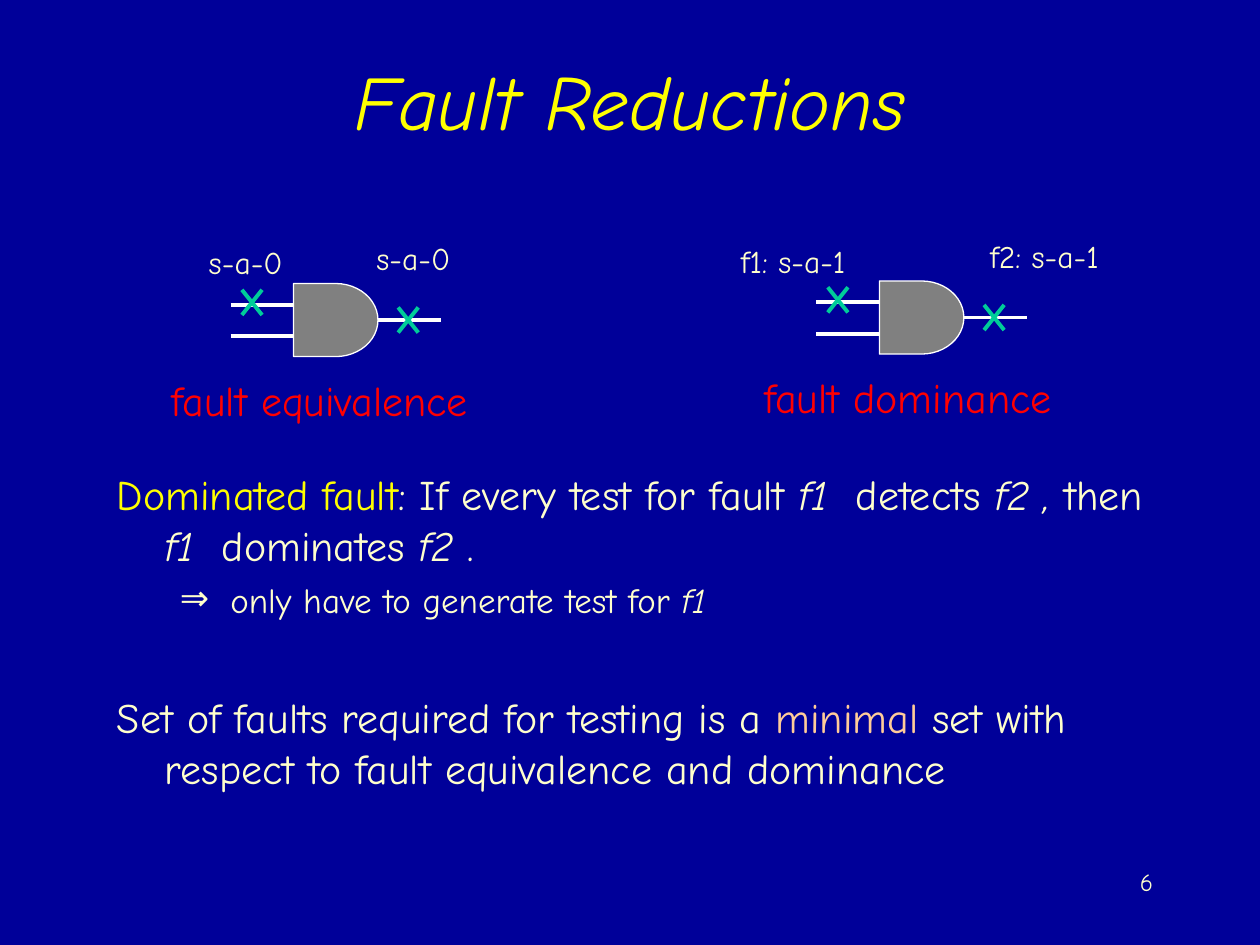
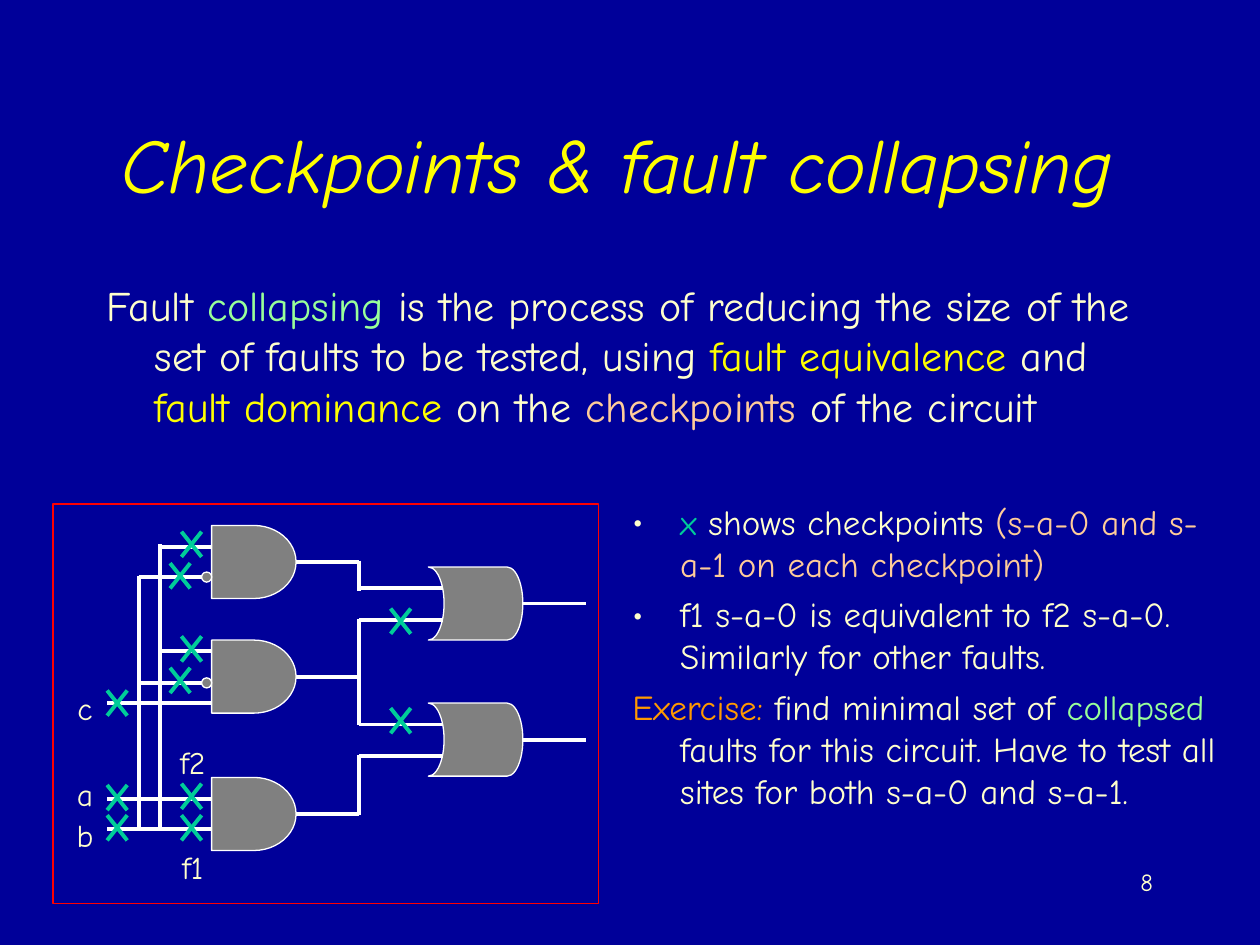
from lxml import etree
from pptx import Presentation
from pptx.dml.color import RGBColor
from pptx.enum.shapes import MSO_CONNECTOR, MSO_SHAPE
from pptx.enum.text import MSO_ANCHOR, MSO_AUTO_SIZE, PP_ALIGN
from pptx.oxml.ns import qn
from pptx.util import Inches, Pt

AND, OR = MSO_SHAPE.FLOWCHART_DELAY, MSO_SHAPE.FLOWCHART_STORED_DATA
RECT, OVAL = MSO_SHAPE.RECTANGLE, MSO_SHAPE.OVAL
LINE = MSO_CONNECTOR.STRAIGHT
LEFT, MID, RIGHT = PP_ALIGN.LEFT, PP_ALIGN.CENTER, PP_ALIGN.RIGHT
TOP, CENTER = MSO_ANCHOR.TOP, MSO_ANCHOR.MIDDLE
GROW = MSO_AUTO_SIZE.SHAPE_TO_FIT_TEXT
NONE = MSO_AUTO_SIZE.NONE

FONT = "Comic Neue"
HEX = {
    "back": "000099", "title": "FFFF00", "text": "FFFFCC", "wire": "FFFFFF",
    "gate": "808080", "mark": "00CC99", "red": "FF0000", "peach": "FFCC99",
    "mint": "99FF99", "orange": "FF9900",
}
WIDTH = {AND: 0.67, OR: 0.75}
HIGH = 0.58
SLACK = 0.05


def rgb(name):
    return RGBColor.from_string(HEX[name])


def box(*sides):
    return [Inches(side) for side in sides]


class Deck:
    """Holds the shared style and the slide being drawn."""

    def __init__(self):
        self.prs = Presentation()
        self.prs.slide_width, self.prs.slide_height = box(10, 7.5)

    def start(self, title, left, top, page):
        self.slide = self.prs.slides.add_slide(self.prs.slide_layouts[5])
        self.shapes = self.slide.shapes
        fill = self.slide.background.fill
        fill.solid()
        fill.fore_color.rgb = rgb("back")
        head = self.shapes.title
        spot = dict(zip(("left", "top", "width", "height"), box(left, top, 8.5, 1.25)))
        for key, value in spot.items():
            setattr(head, key, value)
        self.frame(head.text_frame, CENTER)
        self.para(head.text_frame.paragraphs[0], [(title, "title", True)], 44, MID)
        self.text((7.17, 6.83, 2.08, 0.5), [dict(runs=[(page,)], size=14, align=RIGHT)])

    def frame(self, frame, anchor, wrap=True, fit=NONE):
        form = {"word_wrap": wrap, "auto_size": fit, "vertical_anchor": anchor}
        for key, value in form.items():
            setattr(frame, key, value)

    def para(self, para, runs, size, align=LEFT, hang=None, bullet=None, before=0):
        props = para._p.get_or_add_pPr()
        if hang:
            for key, value in zip(("marL", "indent"), box(*hang)):
                props.set(key, str(value))
        if bullet:
            color = etree.SubElement(props, qn("a:buClr"))
            etree.SubElement(color, qn("a:srgbClr")).set("val", HEX["text"])
            etree.SubElement(props, qn("a:buFont")).set("typeface", FONT)
            etree.SubElement(props, qn("a:buChar")).set("char", bullet)
        para.alignment = align
        para.space_before = Pt(before)
        for words, color, slant in (run + ("text", False)[len(run) - 1:] for run in runs):
            run = para.add_run()
            run.text = words
            form = {"name": FONT, "size": Pt(size), "italic": slant}
            for key, value in form.items():
                setattr(run.font, key, value)
            run.font.color.rgb = rgb(color)

    def text(self, spot, paras, **form):
        frame = self.shapes.add_textbox(*box(*spot)).text_frame
        self.frame(frame, **{"anchor": TOP, **form})
        for num, item in enumerate(paras):
            self.para(frame.add_paragraph() if num else frame.paragraphs[0], **item)

    def label(self, words, left, top, width, size=18, color="text"):
        item = dict(runs=[(words, color)], size=size, align=MID)
        spot = (left - SLACK, top, width + 2 * SLACK, 0.5 if size > 18 else 0.4)
        self.text(spot, [item], anchor=CENTER, wrap=False, fit=GROW)

    def shape(self, kind, spot, fill="gate", line="wire"):
        item = self.shapes.add_shape(kind, *box(*spot))
        item.shadow.inherit = False
        if fill:
            item.fill.solid()
            item.fill.fore_color.rgb = rgb(fill)
        else:
            item.fill.background()
        item.line.color.rgb = rgb(line)
        item.line.width = Pt(0.75)
        return item

    def wire(self, x1, y1, x2, y2, color="wire"):
        item = self.shapes.add_connector(LINE, *box(x1, y1, x2, y2))
        item.line.color.rgb = rgb(color)
        item.line.width = Pt(2.25)
        etree.SubElement(item._element.spPr, qn("a:effectLst"))

    def mark(self, x, y):
        for rise in (0.1, -0.1):
            self.wire(x - 0.08, y - rise, x + 0.08, y + rise, "mark")

    def gate(self, kind, x, y, feeds):
        wide = WIDTH[kind]
        item = self.shape(kind, (x, y, wide, HIGH))
        inset = 0
        if kind == OR:
            item._element.spPr.get_or_add_xfrm().set("flipH", "1")
            inset = 0.12
        for start, drop in feeds:
            self.wire(start, y + drop, x + inset, y + drop)
        self.wire(x + wide, y + 0.29, x + wide + 0.5, y + 0.29)


def reduce(deck):
    deck.start("Fault Reductions", 0.75, 0.17, "6")
    hang = (0.38, -0.38)
    f1, f2 = ("f1", "text", True), ("f2 ", "text", True)
    deck.text((0.83, 3.67, 8.5, 3.42), [
        dict(size=24, hang=hang, runs=[
            ("Dominated fault", "title"), (": If every test for fault ",), f1,
            ("  detects ",), ("f2 ,", "text", True), (" then ",), f1,
            ("  dominates ",), f2, (".",)]),
        dict(size=20, hang=(0.9, -0.4), bullet="⇒", before=5,
             runs=[("only have to generate test for ",), f1]),
        dict(size=24, hang=hang, before=41, runs=[
            ("Set of faults required for testing is a ",), ("minimal", "peach"),
            (" set with respect to fault equivalence and dominance",)]),
    ])
    for x, y in ((2.33, 2.25), (6.98, 2.23)):
        deck.gate(AND, x, y, [(x - 0.5, 0.17), (x - 0.5, 0.42)])
        deck.mark(x - 0.33, y + 0.15)
        deck.mark(x + 0.91, y + 0.29)
    deck.label("s-a-0", 1.56, 1.88, 0.78)
    deck.label("s-a-0", 2.89, 1.85, 0.78)
    deck.label("f1: s-a-1", 5.78, 1.87, 1.03)
    deck.label("f2: s-a-1", 7.76, 1.83, 1.06)
    deck.label("fault equivalence", 1.26, 2.92, 2.56, 24, "red")
    deck.label("fault dominance", 5.96, 2.9, 2.49, 24, "red")


def circuit(deck):
    deck.shape(RECT, (0.42, 4, 4.33, 3.17), None, "red")
    pin, bus_a, bus_b, node = 0.85, 1.27, 1.1, 2.85
    deck.gate(AND, 1.68, 4.17, [(bus_a, 0.17), (bus_b, 0.41)])
    deck.gate(AND, 1.68, 5.08, [(bus_a, 0.09), (bus_b, 0.34), (pin, 0.5)])
    deck.gate(AND, 1.68, 6.17, [(pin, 0.17), (pin, 0.41)])
    for y in (4.5, 5.58):
        deck.gate(OR, 3.4, y, [(node, 0.17), (node, 0.42)])
    spans = [(bus_a, 4.32, 6.58), (bus_b, 4.57, 6.58),
             (node, 4.45, 4.69), (node, 4.91, 5.75), (node, 5.99, 6.47)]
    for x, top, low in spans:
        deck.wire(x, top, x, low)
    marks = {0.93: (5.58, 6.33, 6.57), 1.43: (4.57, 5.4),
             1.52: (4.32, 5.15, 6.32, 6.57), 3.18: (4.93, 5.72)}
    for x, spots in marks.items():
        for y in spots:
            deck.mark(x, y)
    for y in (4.54, 5.38):
        deck.shape(OVAL, (1.6, y, 0.08, 0.08))
    for words, y in (("c", 5.42), ("a", 6.1), ("b", 6.43)):
        deck.label(words, 0.51, y, 0.33)
    for words, y in (("f2", 5.85), ("f1", 6.68)):
        deck.label(words, 1.33, y, 0.4)


def collapse(deck):
    deck.start("Checkpoints & fault collapsing", 0.65, 0.67, "8")
    hang = (0.38, -0.38)
    deck.text((0.75, 2.17, 8.5, 4.5), [dict(size=24, hang=hang, runs=[
        ("Fault ",), ("collapsing", "mint"),
        (" is the process of reducing the size of the set of faults to be tested, using ",),
        ("fault equivalence", "title"), (" and ",), ("fault dominance", "title"),
        (" on the ",), ("checkpoints", "peach"), (" of the circuit",)])])
    circuit(deck)
    form = dict(size=20, hang=hang)
    deck.text((4.92, 3.92, 4.92, 3.33), [
        dict(form, bullet="•", runs=[
            ("x", "mark"), (" shows checkpoints ",),
            ("(s-a-0 and s-a-1 on each checkpoint)", "peach")]),
        dict(form, bullet="•", before=5, runs=[
            ("f1 s-a-0 is equivalent to f2 s-a-0. Similarly for other faults.",)]),
        dict(form, before=5, runs=[
            ("Exercise:", "orange"), (" find minimal set of ",), ("collapsed", "mint"),
            (" faults for this circuit. Have to test all sites for both s-a-0 and s-a-1.",)]),
    ])


def main():
    deck = Deck()
    reduce(deck)
    collapse(deck)
    deck.prs.save("out.pptx")


if __name__ == "__main__":
    main()
